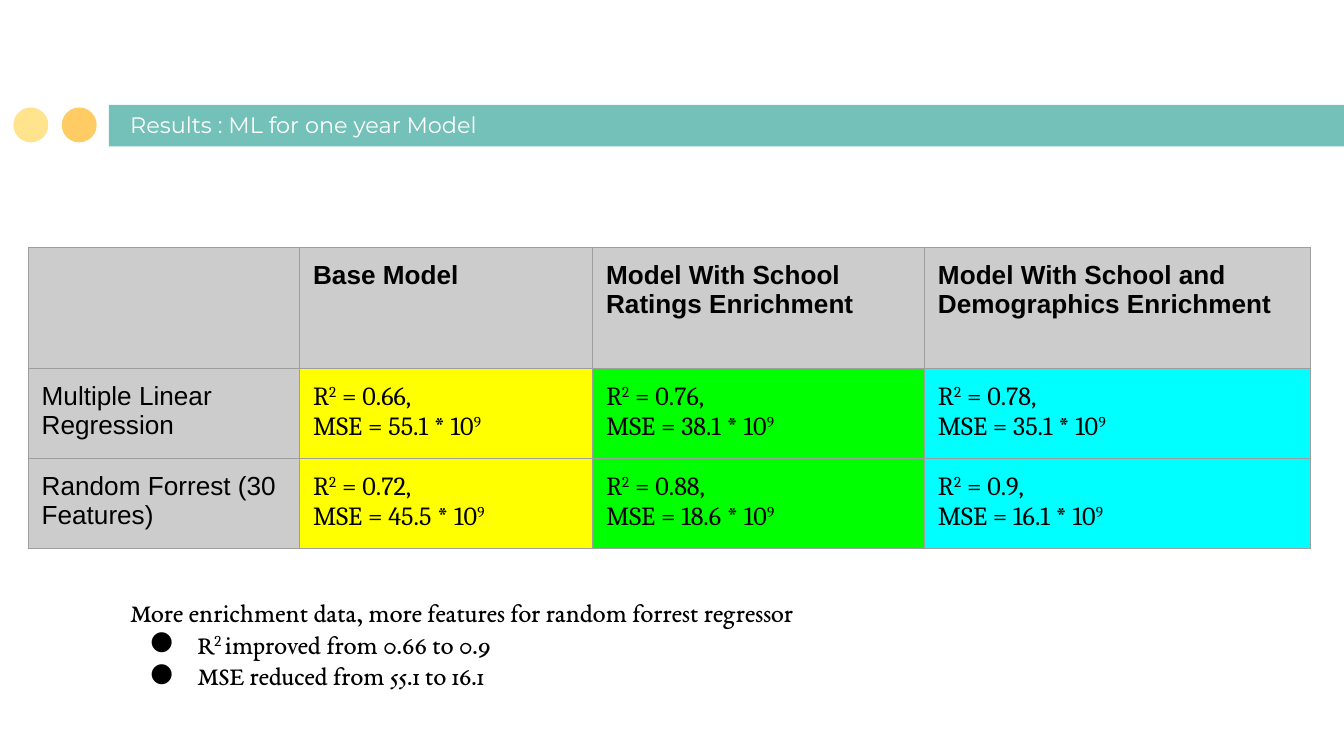
"""Build the slide with the results of the one-year models."""
from dataclasses import dataclass

from lxml import etree
from pptx import Presentation
from pptx.dml.color import RGBColor
from pptx.enum import shapes, text
from pptx.oxml import ns
from pptx.util import Inches, Pt


@dataclass(frozen=True)
class Theme:
    """Colours, fonts and type sizes."""
    teal: str = "74C1B9"
    orange: str = "FFCB64"
    cream: str = "FFE48D"
    white: str = "FFFFFF"
    black: str = "000000"
    border: str = "9E9E9E"
    label_fill: str = "CCCCCC"
    title_font: str = "Montserrat"
    label_font: str = "Arial"
    score_font: str = "Cambria"
    body_font: str = "EB Garamond"
    title_size: float = 12
    body_size: float = 14


@dataclass(frozen=True)
class Decoration:
    """A plain filled shape of the title band."""
    kind: shapes.MSO_SHAPE
    left: float
    top: float
    width: float
    height: float
    fill: str


@dataclass(frozen=True)
class ModelColumn:
    """One model variant with R² and MSE for each method."""
    heading: str
    width: float
    fill: str
    scores: tuple[tuple[str, str], ...]


THEME = Theme()
LABEL_WIDTH = 2.02
ROW_HEIGHTS = (0.9, 0.67, 0.67)
METHODS = ("Multiple Linear Regression", "Random Forrest (30 Features)")
DECORATIONS = (
    Decoration(shapes.MSO_SHAPE.RECTANGLE, 0.81, 0.78, 9.5, 0.31, THEME.teal),
    Decoration(shapes.MSO_SHAPE.OVAL, 0.46, 0.8, 0.26, 0.26, THEME.orange),
    Decoration(shapes.MSO_SHAPE.OVAL, 0.1, 0.8, 0.26, 0.26, THEME.cream),
)
MODELS = (
    ModelColumn("Base Model", 2.18, "FFFF00", (("0.66", "55.1"), ("0.72", "45.5"))),
    ModelColumn("Model With School Ratings Enrichment", 2.47, "00FF00",
                (("0.76", "38.1"), ("0.88", "18.6"))),
    ModelColumn("Model With School and Demographics Enrichment", 2.87, "00FFFF",
                (("0.78", "35.1"), ("0.9", "16.1"))),
)


def add_bullet(paragraph, font: str) -> None:
    """Give a paragraph a hanging round bullet."""
    properties = paragraph._p.get_or_add_pPr()
    properties.set("marL", str(Inches(0.5)))
    properties.set("indent", str(Inches(-0.35)))
    colour = etree.SubElement(properties, ns.qn("a:buClr"))
    etree.SubElement(colour, ns.qn("a:srgbClr"), val=THEME.black)
    etree.SubElement(properties, ns.qn("a:buFont"), typeface=font)
    etree.SubElement(properties, ns.qn("a:buChar"), char="●")


def write_text(frame, *lines: str, font: str, size: float = THEME.body_size,
               colour: str = THEME.black, bold: bool = False,
               bullets_from: int | None = None) -> None:
    """Write one paragraph a line, raising whatever stands between carets."""
    for index, line in enumerate(lines):
        paragraph = frame.paragraphs[0] if index == 0 else frame.add_paragraph()
        if bullets_from is not None and index >= bullets_from:
            add_bullet(paragraph, font)
        for part, words in enumerate(line.split("^")):
            if not words:
                continue
            raised = part % 2 == 1
            run = paragraph.add_run()
            run.text = words
            run.font.name = THEME.score_font if raised else font
            run.font.size = Pt(size)
            run.font.bold = bold
            run.font.color.rgb = RGBColor.from_string(colour)
            if raised:
                run.font._element.set("baseline", "30000")


def set_margins(target) -> None:
    """Set equal margins on a text frame or a cell."""
    target.margin_left = target.margin_right = Inches(0.1)
    target.margin_top = target.margin_bottom = Inches(0.1)


def add_decoration(slide, decoration: Decoration) -> None:
    """Draw one shape of the title band."""
    shape = slide.shapes.add_shape(
        decoration.kind, Inches(decoration.left), Inches(decoration.top),
        Inches(decoration.width), Inches(decoration.height))
    shape.shadow.inherit = False
    shape.fill.solid()
    shape.fill.fore_color.rgb = RGBColor.from_string(decoration.fill)
    shape.line.fill.background()


def add_text_frame(slide, left: float, top: float, width: float, height: float):
    """Add a wrapping text box and return its frame."""
    box = slide.shapes.add_textbox(Inches(left), Inches(top), Inches(width), Inches(height))
    frame = box.text_frame
    frame.word_wrap = True
    set_margins(frame)
    return frame


def style_cell(cell, fill: str) -> None:
    """Give a cell its margins, borders and fill."""
    set_margins(cell)
    properties = cell._tc.get_or_add_tcPr()
    for side in ("lnL", "lnR", "lnT", "lnB"):
        line = etree.SubElement(properties, ns.qn(f"a:{side}"), w=str(Pt(0.75)))
        paint = etree.SubElement(line, ns.qn("a:solidFill"))
        etree.SubElement(paint, ns.qn("a:srgbClr"), val=THEME.border)
    cell.fill.solid()
    cell.fill.fore_color.rgb = RGBColor.from_string(fill)


def add_results_table(slide) -> None:
    """Add the table of methods against model variants."""
    widths = (LABEL_WIDTH, *(model.width for model in MODELS))
    table = slide.shapes.add_table(
        len(ROW_HEIGHTS), len(widths), Inches(0.21), Inches(1.84),
        Inches(sum(widths)), Inches(sum(ROW_HEIGHTS))).table
    table.first_row = table.horz_banding = False
    for column, width in zip(table.columns, widths):
        column.width = Inches(width)
    for row, height in zip(table.rows, ROW_HEIGHTS):
        row.height = Inches(height)

    style_cell(table.cell(0, 0), THEME.label_fill)
    for row, method in enumerate(METHODS, 1):
        cell = table.cell(row, 0)
        style_cell(cell, THEME.label_fill)
        write_text(cell.text_frame, method, font=THEME.label_font)
    for column, model in enumerate(MODELS, 1):
        heading = table.cell(0, column)
        style_cell(heading, THEME.label_fill)
        write_text(heading.text_frame, model.heading, font=THEME.label_font, bold=True)
        for row, (r_squared, error) in enumerate(model.scores, 1):
            cell = table.cell(row, column)
            style_cell(cell, model.fill)
            write_text(cell.text_frame, f"R^2^ = {r_squared},", f"MSE = {error} * 10^9^",
                       font=THEME.score_font)


def main() -> None:
    """Build and save the presentation."""
    presentation = Presentation()
    presentation.slide_width = Inches(10)
    presentation.slide_height = presentation.slide_width * 9 // 16
    slide = presentation.slides.add_slide(presentation.slide_layouts[6])
    for decoration in DECORATIONS:
        add_decoration(slide, decoration)

    title = add_text_frame(slide, 0.87, 0.79, 5.48, 0.34)
    title.vertical_anchor = text.MSO_ANCHOR.BOTTOM
    write_text(title, "Results : ML for one year Model", font=THEME.title_font,
               size=THEME.title_size, colour=THEME.white)
    add_results_table(slide)

    summary = add_text_frame(slide, 0.87, 4.34, 6.43, 0.91)
    summary.auto_size = text.MSO_AUTO_SIZE.SHAPE_TO_FIT_TEXT
    write_text(summary, "More enrichment data, more features for random forrest regressor",
               "R^2 ^improved from 0.66 to 0.9", "MSE reduced from 55.1 to 16.1",
               font=THEME.body_font, bullets_from=1)
    presentation.save("out.pptx")


if __name__ == "__main__":
    main()
